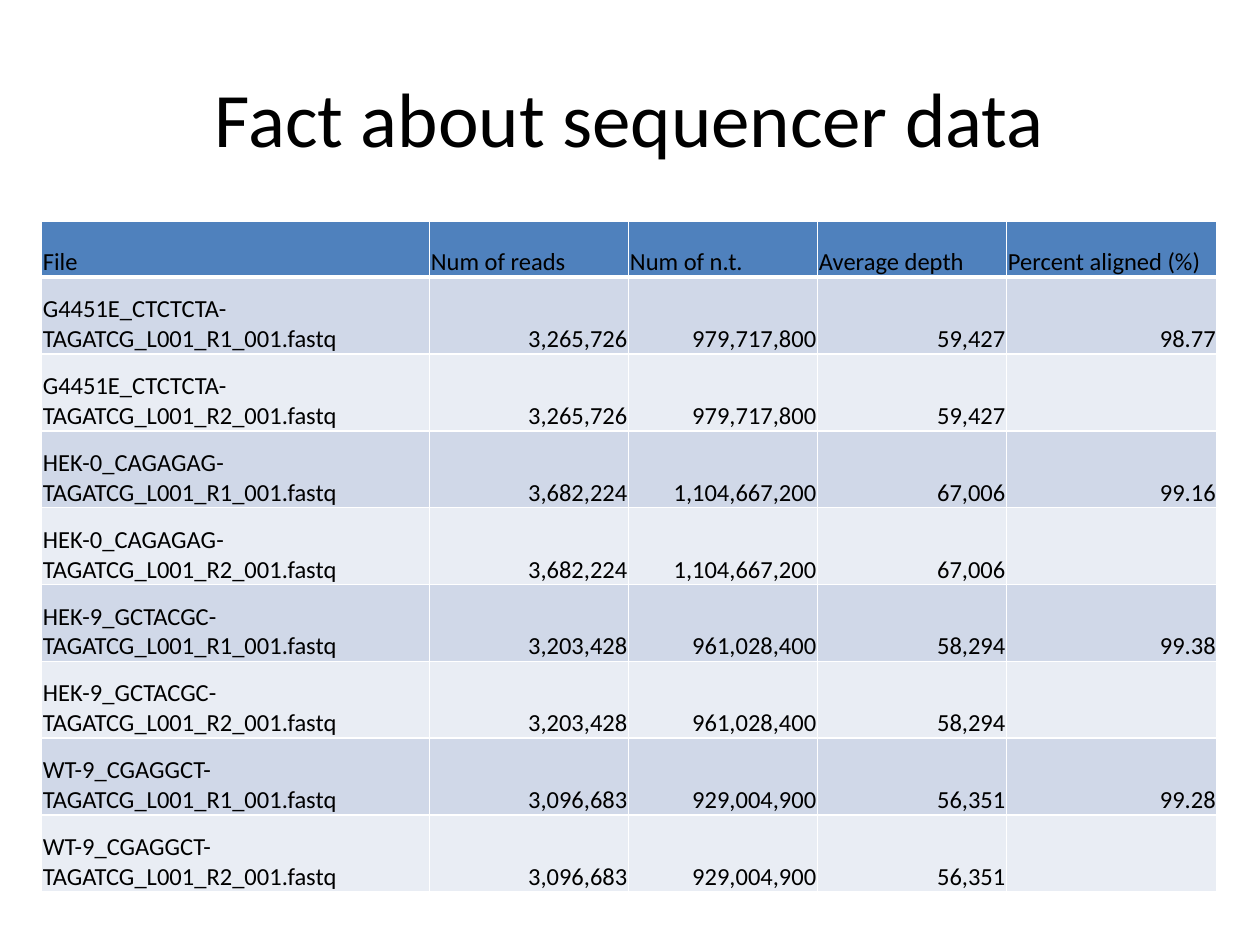
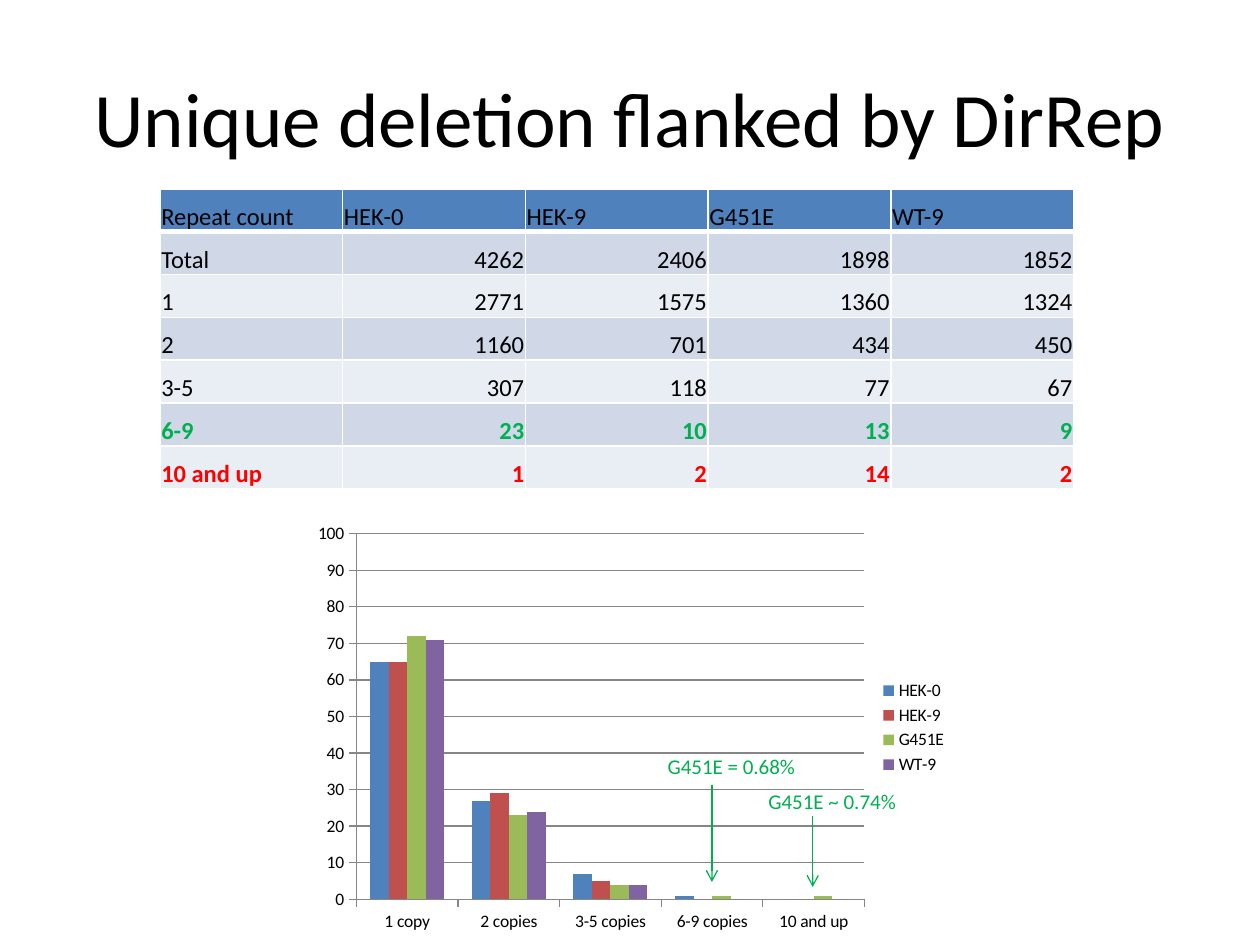
from pptx import Presentation
from pptx.chart.data import CategoryChartData
from pptx.dml.color import RGBColor
from pptx.enum.chart import XL_CHART_TYPE, XL_LEGEND_POSITION, XL_TICK_MARK
from pptx.enum.shapes import MSO_CONNECTOR
from pptx.enum.text import MSO_ANCHOR, MSO_AUTO_SIZE, PP_ALIGN
from pptx.oxml.ns import qn
from pptx.util import Inches, Pt
from lxml.etree import SubElement

FONT = "Calibri"
COLORS = {
    "text": "000000", "white": "FFFFFF", "header": "4F81BD",
    "band_dark": "D0D8E8", "band_light": "E9EDF4",
    "green": "00B050", "red": "FF0000", "axis": "868686",
    "HEK-0": "4F81BD", "HEK-9": "C0504D", "G451E": "9BBB59", "WT-9": "8064A2",
}
THIN, THICK = 1, 3

SAMPLES = [
    ("G4451E_CTCTCTA", "3,265,726", "979,717,800", "59,427", "98.77"),
    ("HEK-0_CAGAGAG", "3,682,224", "1,104,667,200", "67,006", "99.16"),
    ("HEK-9_GCTACGC", "3,203,428", "961,028,400", "58,294", "99.38"),
    ("WT-9_CGAGGCT", "3,096,683", "929,004,900", "56,351", "99.28"),
]
STRAINS = ["HEK-0", "HEK-9", "G451E", "WT-9"]
REPEAT_COUNTS = {
    "Total": [4262, 2406, 1898, 1852],
    "1": [2771, 1575, 1360, 1324],
    "2": [1160, 701, 434, 450],
    "3-5": [307, 118, 77, 67],
    "6-9": [23, 10, 13, 9],
    "10 and up": [1, 2, 14, 2],
}
COPY_GROUPS = ["1 copy", "2 copies", "3-5 copies", "6-9 copies", "10 and up"]


def rgb(name):
    return RGBColor.from_string(COLORS[name])


class Deck:
    def __init__(self):
        self.prs = Presentation()
        self.prs.slide_width, self.prs.slide_height = Inches(10), Inches(7.5)
        self.s = None

    def slide(self, title):
        self.s = self.prs.slides.add_slide(self.prs.slide_layouts[6])
        self.text(title, 0.5, 0.3, 9, 1.25, size=44, align=PP_ALIGN.CENTER,
                  anchor=MSO_ANCHOR.MIDDLE)

    def run(self, p, text, size, color="text", bold=False):
        r = p.add_run()
        r.text = text
        r.font.name, r.font.size, r.font.bold = FONT, Pt(size), bold
        r.font.color.rgb = rgb(color)

    def text(self, text, x, y, w, h, size, color="text", align=PP_ALIGN.LEFT,
             anchor=MSO_ANCHOR.TOP, wrap=True):
        sp = self.s.shapes.add_textbox(Inches(x), Inches(y), Inches(w), Inches(h))
        tf = sp.text_frame
        tf.word_wrap, tf.vertical_anchor = wrap, anchor
        tf.auto_size = MSO_AUTO_SIZE.NONE if wrap else MSO_AUTO_SIZE.SHAPE_TO_FIT_TEXT
        p = tf.paragraphs[0]
        p.alignment = align
        self.run(p, text, size, color)
        return sp

    def arrow(self, x, top, bottom, color):
        sp = self.s.shapes.add_connector(
            MSO_CONNECTOR.STRAIGHT, Inches(x), Inches(top), Inches(x), Inches(bottom))
        sp.line.color.rgb, sp.line.width = rgb(color), Pt(0.75)
        SubElement(sp.line._get_or_add_ln(), qn("a:tailEnd"), type="arrow")
        SubElement(sp._element.spPr, qn("a:effectLst"))
        return sp

    def borders(self, cell, top, bottom):
        tc_pr = cell._tc.get_or_add_tcPr()
        for side, width in (("L", THIN), ("R", THIN), ("T", top), ("B", bottom)):
            ln = SubElement(tc_pr, qn(f"a:ln{side}"), w=str(Pt(width)))
            fill = SubElement(ln, qn("a:solidFill"))
            SubElement(fill, qn("a:srgbClr"), val=COLORS["white"])

    def table(self, rows, x, y, widths, heights, highlights=None):
        highlights = highlights or {}
        table = self.s.shapes.add_table(
            len(rows), len(widths), Inches(x), Inches(y),
            Inches(sum(widths)), Inches(sum(heights))).table
        table.horz_banding = False
        for column, width in zip(table.columns, widths):
            column.width = Inches(width)
        for i, values in enumerate(rows):
            table.rows[i].height = Inches(heights[i])
            band = "header" if i == 0 else ("band_light", "band_dark")[i % 2]
            color = highlights.get(values[0], "text")
            for j, value in enumerate(values):
                cell = table.cell(i, j)
                self.borders(cell, THICK if i == 1 else THIN, THICK if i == 0 else THIN)
                cell.fill.solid()
                cell.fill.fore_color.rgb = rgb(band)
                cell.vertical_anchor = MSO_ANCHOR.BOTTOM
                cell.margin_left = cell.margin_right = cell.margin_top = Inches(0.01)
                cell.margin_bottom = 0
                p = cell.text_frame.paragraphs[0]
                if value:
                    p.alignment = PP_ALIGN.RIGHT if i and j else PP_ALIGN.LEFT
                    self.run(p, value, 14, color, bold=values[0] in highlights)

    def column_chart(self, categories, series, x, y, w, h):
        data = CategoryChartData()
        data.categories = categories
        for name, values in series.items():
            data.add_series(name, values)
        chart = self.s.shapes.add_chart(
            XL_CHART_TYPE.COLUMN_CLUSTERED, Inches(x), Inches(y),
            Inches(w), Inches(h), data).chart
        chart.has_title = False
        chart.font.name, chart.font.size = FONT, Pt(10)
        chart.font.color.rgb = rgb("text")
        chart.has_legend = True
        chart.legend.position = XL_LEGEND_POSITION.RIGHT
        chart.legend.include_in_layout = False
        plot = chart.plots[0]
        plot.gap_width, plot.overlap, plot.vary_by_categories = 150, 0, False
        for ser in plot.series:
            ser.format.fill.solid()
            ser.format.fill.fore_color.rgb = rgb(ser.name)
        value_axis = chart.value_axis
        value_axis.minimum_scale, value_axis.maximum_scale = 0, 100
        value_axis.major_unit = 10
        value_axis.has_major_gridlines = True
        for axis in (chart.category_axis, value_axis):
            axis.major_tick_mark = XL_TICK_MARK.OUTSIDE
            axis.minor_tick_mark = XL_TICK_MARK.NONE
        for part in (chart.category_axis, value_axis, value_axis.major_gridlines):
            part.format.line.color.rgb = rgb("axis")
            part.format.line.width = Pt(0.75)


def read_facts(deck):
    deck.slide("Fact about sequencer data")
    rows = [["File", "Num of reads", "Num of n.t.", "Average depth", "Percent aligned (%)"]]
    for sample, reads, bases, depth, aligned in SAMPLES:
        for mate, percent in (("R1", aligned), ("R2", "")):
            rows.append([f"{sample}-TAGATCG_L001_{mate}_001.fastq",
                         reads, bases, depth, percent])
    deck.table(rows, 0.33, 1.76, [3.08, 1.58, 1.5, 1.5, 1.67],
               [0.44] + [0.61] * (len(rows) - 1))


def unique_deletions(deck):
    deck.slide("Unique deletion flanked by DirRep")
    rows = [["Repeat count"] + STRAINS]
    rows += [[label] + [str(n) for n in counts] for label, counts in REPEAT_COUNTS.items()]
    deck.table(rows, 1.27, 1.5, [1.45] * 5, [0.34] * len(rows),
               {"6-9": "green", "10 and up": "red"})
    percents = {}
    for strain, (total, *counts) in zip(STRAINS, zip(*REPEAT_COUNTS.values())):
        percents[strain] = [round(100 * n / total) for n in counts]
    deck.column_chart(COPY_GROUPS, percents, 2.42, 4.09, 5.2, 3.37)
    callouts = []
    for note, x, y, arrow_top, arrow_bottom in (
            ("G451E = 0.68%", 5.2, 5.93, 6.23, 7),
            ("G451E ~ 0.74%", 6, 6.21, 6.48, 7.04)):
        callouts.append(deck.text(note, x, y, 1.23, 0.3, 12, "green", wrap=False))
        callouts.append(deck.arrow(x + 0.45, arrow_top, arrow_bottom, "green"))
    deck.s.shapes.add_group_shape(callouts)


def main():
    deck = Deck()
    read_facts(deck)
    unique_deletions(deck)
    deck.prs.save("out.pptx")


if __name__ == "__main__":
    main()
